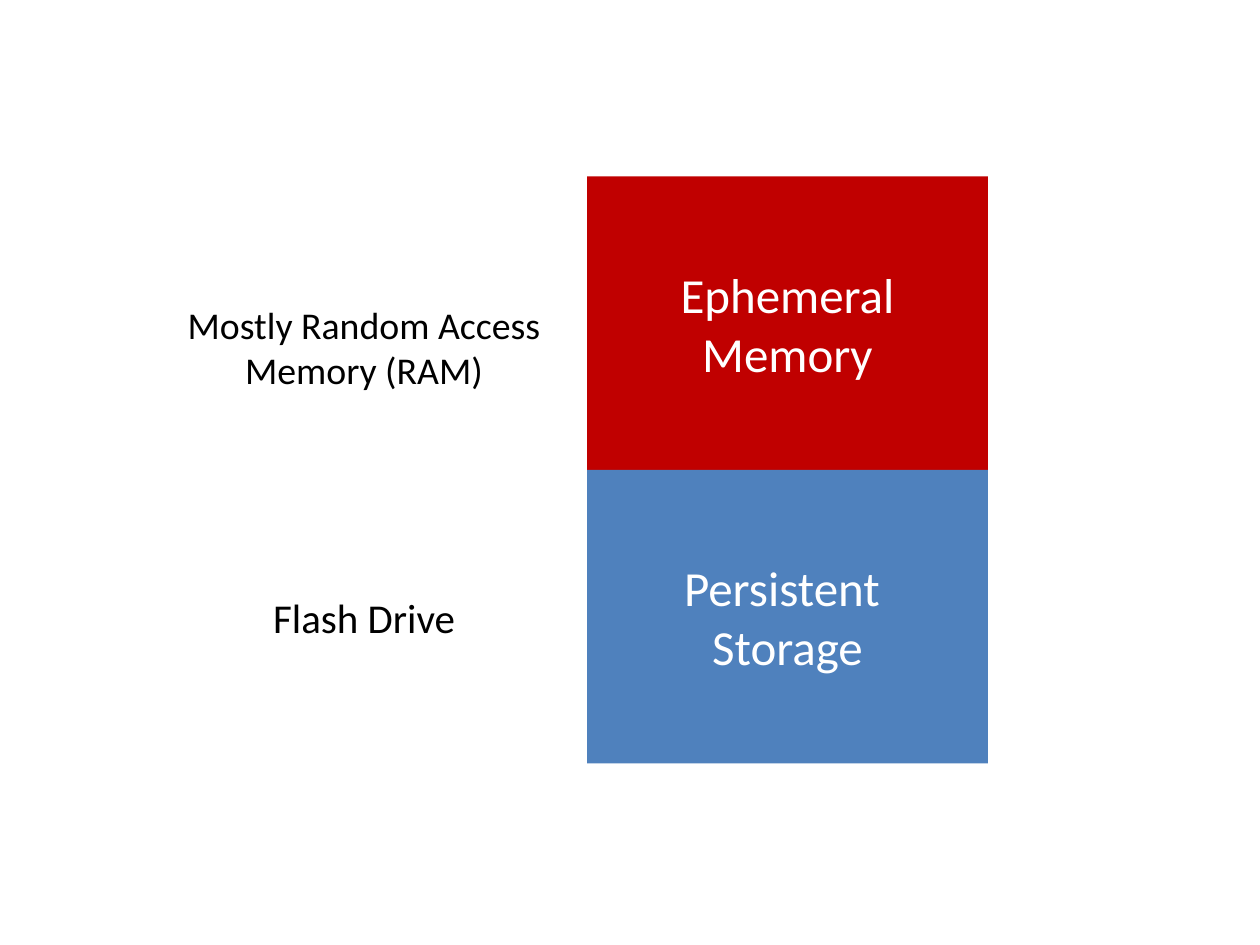
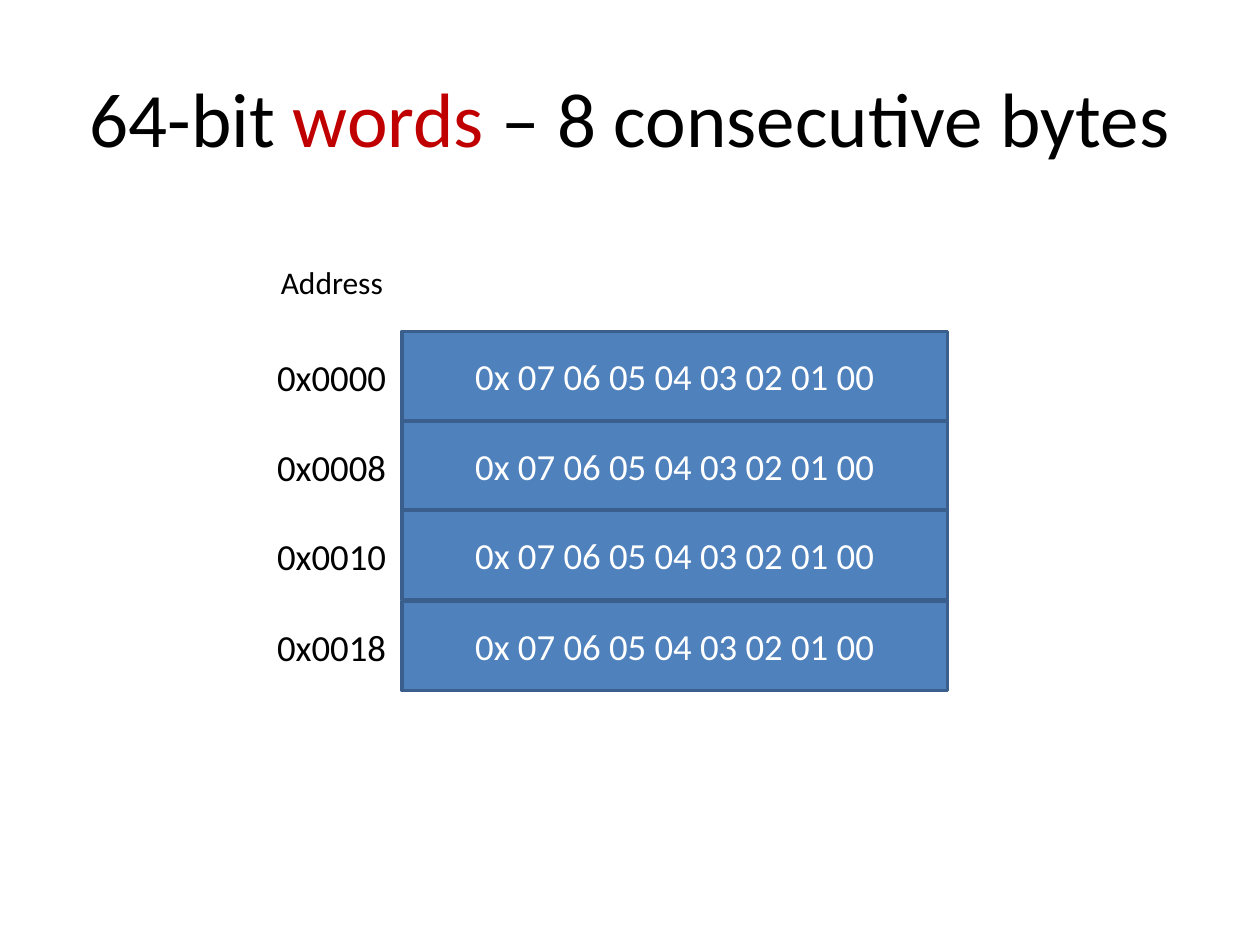
from dataclasses import dataclass

from pptx import Presentation
from pptx import util as u
from pptx.dml.color import RGBColor
from pptx.enum import shapes, text

PX = 9144  # EMU in one px, 100 px to the inch


@dataclass(frozen=True)
class Theme:
    font: str = "Calibri"
    ink: str = "000000"
    pale: str = "FFFFFF"
    red: str = "C00000"
    blue: str = "4F81BD"
    edge: str = "3A5F8C"
    title: float = 44
    block: float = 28
    drive: float = 23.4
    ram: float = 21.6
    word: float = 21
    head: float = 18


class Deck:
    def __init__(self, theme):
        self.theme = theme
        self.prs = Presentation()
        self.prs.slide_width = 1000 * PX
        self.prs.slide_height = 750 * PX
        self.slide = None

    def page(self):
        self.slide = self.prs.slides.add_slide(self.prs.slide_layouts[5])

    def fill_text(self, shape, words, size, color, center=True):
        """Set the text; words is a string or a list of (text, colour) runs."""
        frame = shape.text_frame
        frame.word_wrap = True
        frame.auto_size = text.MSO_AUTO_SIZE.NONE
        if center:
            frame.vertical_anchor = text.MSO_ANCHOR.MIDDLE
        if isinstance(words, str):
            frame.text = words
        else:
            for part, tint in words:
                run = frame.paragraphs[0].add_run()
                run.text = part
                run.font.color.rgb = RGBColor.from_string(tint)
        align = text.PP_ALIGN.CENTER if center else text.PP_ALIGN.LEFT
        for para in frame.paragraphs:
            para.alignment = align
            for run in para.runs:
                run.font.name = self.theme.font
                run.font.size = u.Pt(size)
                if isinstance(words, str):
                    run.font.color.rgb = RGBColor.from_string(color)

    def title(self, box, words, size):
        shape = self.slide.shapes.title
        shape.left, shape.top, shape.width, shape.height = (n * PX for n in box)
        self.fill_text(shape, words, size, self.theme.ink)

    def label(self, box, words, size, center=False, wrap=True):
        shape = self.slide.shapes.add_textbox(*(n * PX for n in box))
        self.fill_text(shape, words, size, self.theme.ink, center)
        shape.text_frame.word_wrap = wrap

    def block(self, box, words, size, fill, edge=None):
        shape = self.slide.shapes.add_shape(
            shapes.MSO_SHAPE.RECTANGLE, *(n * PX for n in box))
        shape.shadow.inherit = False
        shape.fill.solid()
        shape.fill.fore_color.rgb = RGBColor.from_string(fill)
        if edge:
            shape.line.color.rgb = RGBColor.from_string(edge)
            shape.line.width = u.Pt(2)
        else:
            shape.line.fill.background()
        self.fill_text(shape, words, size, self.theme.pale)


def kinds(deck):
    look = deck.theme
    deck.page()
    deck.title((131, 221, 316, 109), "Mostly Random Access Memory (RAM)", look.ram)
    stack = (("Ephemeral Memory", look.red), ("Persistent \nStorage", look.blue))
    for row, (name, fill) in enumerate(stack):
        deck.block((466, 140 + 233 * row, 318, 233), name, look.block, fill)
    deck.label((131, 435, 316, 109), "Flash Drive", look.drive, center=True)


def words(deck):
    look = deck.theme
    deck.page()
    deck.title((50, 30, 900, 125),
               [("64-bit ", look.ink), ("words", look.red),
                (" – 8 consecutive bytes", look.ink)], look.title)
    deck.label((213, 204, 102, 40), "Address", look.head, wrap=False)
    for row in range(4):
        top = 263 + row * 214 // 3
        deck.block((319, top, 433, 71), "0x 07 06 05 04 03 02 01 00",
                   look.word, look.blue, look.edge)
        deck.label((210, top + 14, 198, 45), f"0x{8 * row:04x}", look.word)


def main():
    deck = Deck(Theme())
    kinds(deck)
    words(deck)
    deck.prs.save("out.pptx")


if __name__ == "__main__":
    main()
